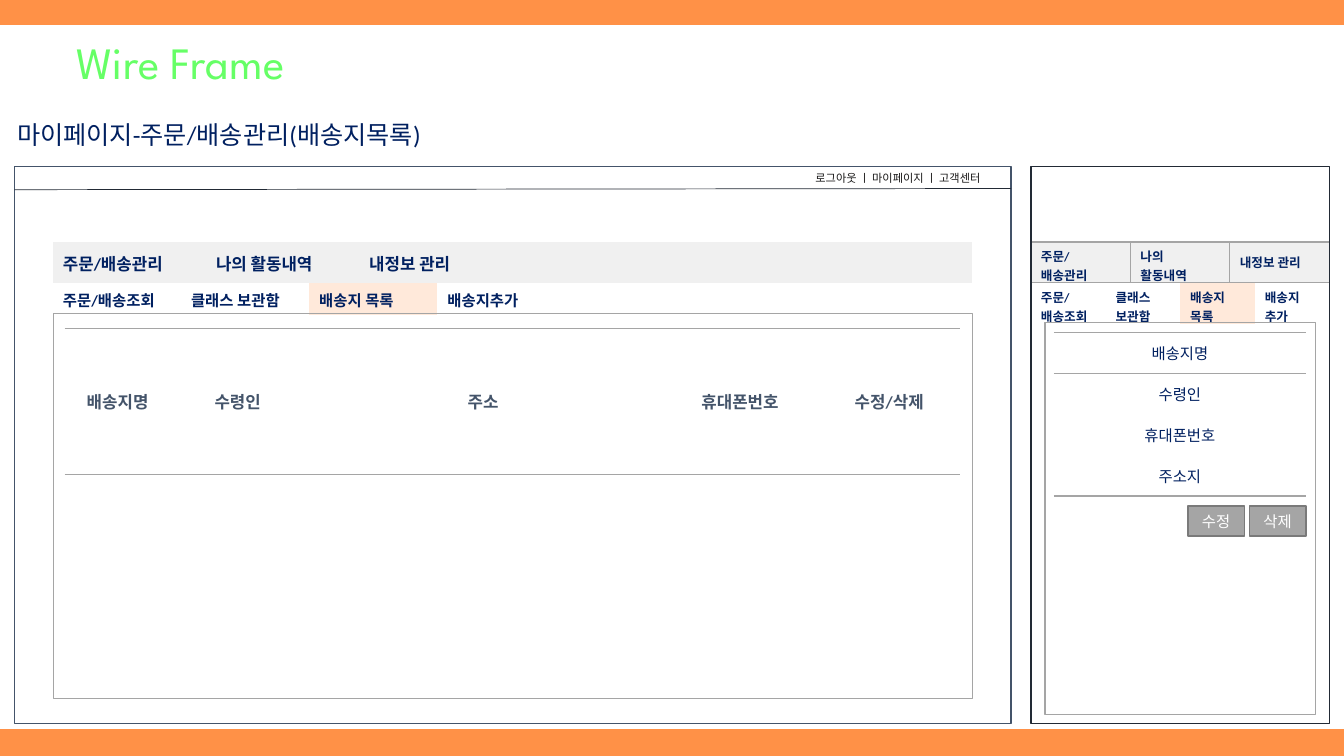
from dataclasses import dataclass

import lxml.etree
import pptx
import pptx.dml.color
import pptx.enum.shapes
import pptx.enum.text
import pptx.oxml.ns
import pptx.util

Cm = pptx.util.Cm
Pt = pptx.util.Pt
qn = pptx.oxml.ns.qn
ALIGN = pptx.enum.text.PP_ALIGN
MIDDLE = pptx.enum.text.MSO_ANCHOR.MIDDLE
NO_TABLE_STYLE = "{2D5ABB26-0587-4C30-8999-92F81FD0307C}"
BORDER_TAGS = {"left": "a:lnL", "right": "a:lnR", "top": "a:lnT", "bottom": "a:lnB"}


@dataclass(frozen=True)
class Theme:
    """Colours, fonts and type sizes of the slide."""
    band: str = "FF9147"
    paper: str = "FFFFFF"
    title: str = "66FF66"
    navy: str = "002060"
    slate: str = "44546A"
    ink: str = "222A35"
    menu: str = "181717"
    rule: str = "A5A5A5"
    button_edge: str = "7A7A7A"
    tab: str = "F0F0F0"
    active: str = "FFE9DA"
    title_font: str = "League Spartan"
    body_font: str = "Calibri"
    title_size: int = 32
    heading_size: int = 18
    label_size: int = 12
    item_size: int = 11
    small_size: int = 9
    menu_size: int = 8


THEME = Theme()


def rgb(code):
    """Turn a hex code into a colour."""
    return pptx.dml.color.RGBColor.from_string(code)


def write(frame, text, size, color, bold=False, align=ALIGN.LEFT, font=THEME.body_font):
    """Fill a text frame, one paragraph for each line of text."""
    for number, line in enumerate(text.split("\n")):
        paragraph = frame.add_paragraph() if number else frame.paragraphs[0]
        paragraph.alignment = align
        if not line:
            paragraph.font.size = Pt(size)
            continue
        run = paragraph.add_run()
        run.text = line
        run.font.name = font
        run.font.size = Pt(size)
        run.font.bold = bold
        run.font.color.rgb = rgb(color)


def add_label(slide, box, text, size, color, font=THEME.body_font):
    """Place a wrapping text box."""
    label = slide.shapes.add_textbox(*map(Cm, box))
    label.text_frame.word_wrap = True
    write(label.text_frame, text, size, color, font=font)


def add_panel(slide, box, edge, fill=None):
    """Place an outlined rectangle and return it."""
    panel = slide.shapes.add_shape(
        pptx.enum.shapes.MSO_SHAPE.RECTANGLE, *map(Cm, box))
    panel.shadow.inherit = False
    if fill:
        panel.fill.solid()
        panel.fill.fore_color.rgb = rgb(fill)
    else:
        panel.fill.background()
    panel.line.color.rgb = rgb(edge)
    panel.line.width = Pt(1)
    return panel


def add_borders(cell, sides):
    """Draw a rule on the named sides of a cell."""
    properties = cell._tc.get_or_add_tcPr()
    for side, tag in BORDER_TAGS.items():
        if side in sides:
            border = lxml.etree.SubElement(properties, qn(tag), w=str(Pt(1)))
            fill = lxml.etree.SubElement(border, qn("a:solidFill"))
            lxml.etree.SubElement(fill, qn("a:srgbClr"), val=THEME.rule)


def add_grid(slide, left, top, widths, height, rows, size, color=THEME.navy,
             bold=True, align=ALIGN.LEFT, fills=None, borders=None):
    """Place a table; fills go by column and borders by row."""
    table = slide.shapes.add_table(
        len(rows), len(widths), Cm(left), Cm(top),
        Cm(sum(widths)), Cm(height * len(rows))).table
    table.first_row = table.horz_banding = False
    table._tbl.tblPr.find(qn("a:tableStyleId")).text = NO_TABLE_STYLE
    for column, width in zip(table.columns, widths):
        column.width = Cm(width)
    for row_number, texts in enumerate(rows):
        table.rows[row_number].height = Cm(height)
        for column_number, text in enumerate(texts):
            cell = table.cell(row_number, column_number)
            cell.vertical_anchor = MIDDLE
            write(cell.text_frame, text, size, color, bold, align)
            add_borders(cell, (borders or {}).get(row_number, ()))
            fill = (fills or {}).get(column_number)
            if fill:
                cell.fill.solid()
                cell.fill.fore_color.rgb = rgb(fill)
            else:
                cell.fill.background()


def build_header(slide, box):
    """Place the white sheet, the title and the page heading."""
    left, top, width, height = box
    add_panel(slide, box, THEME.paper, THEME.paper)
    add_label(slide, (left + 1.68, top + 0.08, 7.04, 1.63), "Wire Frame",
              THEME.title_size, THEME.title, THEME.title_font)
    add_label(slide, (left + 0.18, top + 2.21, 24.66, 1.02),
              "마이페이지-주문/배송관리(배송지목록)", THEME.heading_size, THEME.navy)


def build_desktop(slide, box):
    """Place the desktop wireframe."""
    left, top, width, height = box
    add_panel(slide, box, THEME.slate, THEME.paper)
    add_grid(slide, left + 1.27, top + 4.09, [2.67, 3.38, 8.99, 3.96, 3.56], 3.68,
             [["배송지명", "수령인", "주소", "휴대폰번호", "수정/삭제"]],
             THEME.label_size, THEME.slate, align=ALIGN.CENTER,
             borders={0: ("top", "bottom")})
    add_grid(slide, left + 0.97, top + 1.91, [3.86] * 6, 1.04,
             [["주문/배송관리", "나의 활동내역", "내정보 관리", "", "", ""]],
             THEME.label_size, fills=dict.fromkeys(range(6), THEME.tab))
    add_grid(slide, left + 0.97, top + 2.95, [3.23] * 4, 0.79,
             [["주문/배송조회", "클래스 보관함", "배송지 목록", "배송지추가"]],
             THEME.item_size, fills={2: THEME.active})
    add_panel(slide, (left + 0.99, top + 3.71, 23.16, 9.7), THEME.rule)
    menu_rule = slide.shapes.add_connector(
        pptx.enum.shapes.MSO_CONNECTOR.STRAIGHT, Cm(left), Cm(top + 0.59),
        Cm(left + width), Cm(top + 0.56))
    menu_rule.line.color.rgb = rgb(THEME.ink)
    menu_rule.line.width = Pt(0.5)
    lxml.etree.SubElement(menu_rule._element.spPr, qn("a:effectLst"))
    add_label(slide, (left + width - 5.18, top, 5.18, 0.6),
              "로그아웃 ㅣ 마이페이지 ㅣ 고객센터", THEME.menu_size, THEME.menu)


def build_mobile(slide, box):
    """Place the mobile wireframe."""
    left, top, width, height = box
    add_grid(slide, left + 0.58, top + 4.19, [6.35], 1.03,
             [["배송지명"], ["수령인"], ["휴대폰번호"], ["주소지"]],
             THEME.item_size, bold=False, align=ALIGN.CENTER,
             borders={0: ("top", "bottom"), 3: ("bottom",)})
    for number, action in enumerate(["수정", "삭제"]):
        button = add_panel(slide, (left + 3.96 + 1.55 * number, top + 8.56, 1.42, 0.76),
                           THEME.button_edge, THEME.rule)
        button.text_frame.vertical_anchor = MIDDLE
        write(button.text_frame, action, THEME.item_size, THEME.paper,
              align=ALIGN.CENTER)
    add_grid(slide, left, top + 1.91, [width / 3] * 3, 0.86,
             [["주문/\n배송관리", "나의\n활동내역", "내정보 관리"]],
             THEME.small_size, fills=dict.fromkeys(range(3), THEME.tab),
             borders={0: tuple(BORDER_TAGS)})
    add_grid(slide, left, top + 2.95, [width / 4] * 4, 1.02,
             [["주문/\n배송조회", "클래스\n보관함", "배송지\n목록", "배송지\n추가"]],
             THEME.small_size, fills={2: THEME.active})
    add_panel(slide, (left + 0.36, top + 3.94, 6.81, 9.88), THEME.rule)
    add_panel(slide, box, THEME.ink)


def main():
    """Build the slide and save it."""
    deck = pptx.Presentation()
    deck.slide_width, deck.slide_height = Cm(33.87), Cm(19.05)
    slide = deck.slides.add_slide(deck.slide_layouts[6])
    slide.background.fill.solid()
    slide.background.fill.fore_color.rgb = rgb(THEME.band)
    build_header(slide, (0, 0.66, 33.87, 17.7))
    build_desktop(slide, (0.36, 4.19, 25.12, 14.05))
    build_mobile(slide, (25.98, 4.19, 7.52, 14.05))
    deck.save("out.pptx")


if __name__ == "__main__":
    main()
